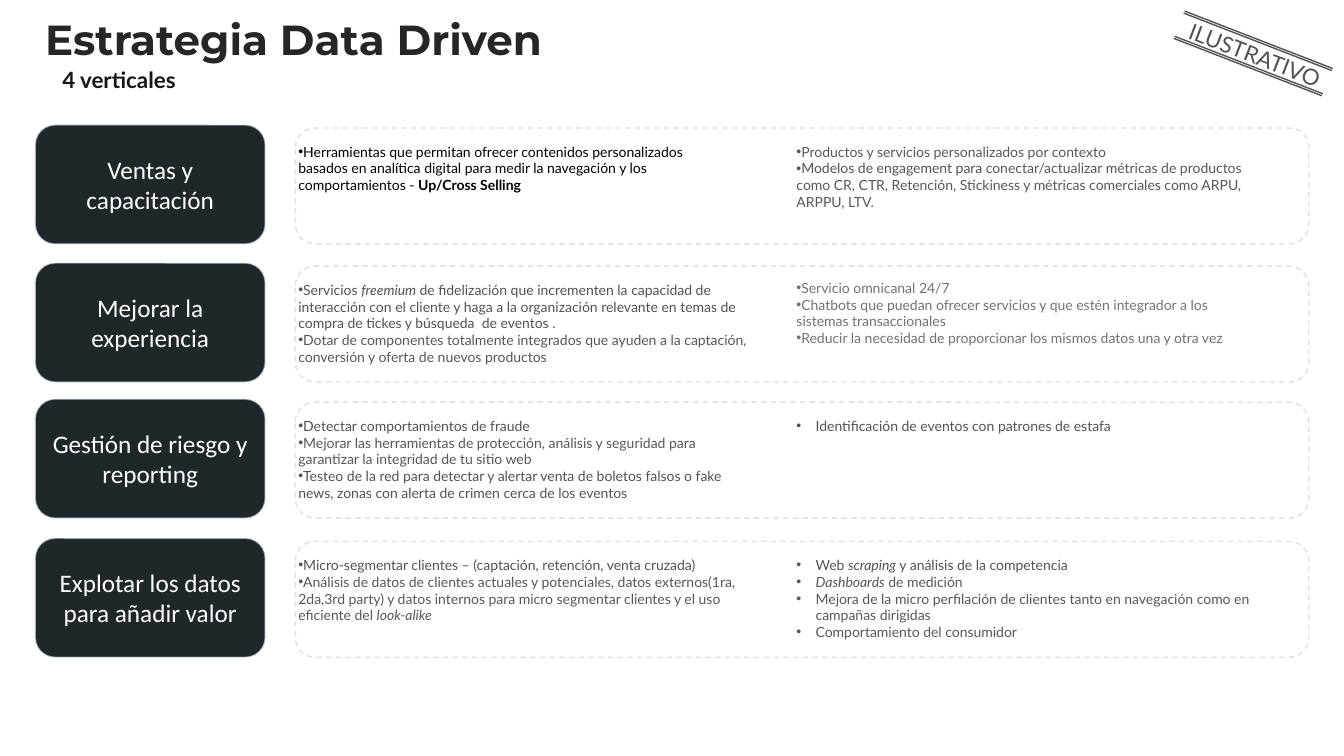
from lxml import etree
from pptx import Presentation
from pptx.dml.color import RGBColor
from pptx.enum.dml import MSO_LINE
from pptx.enum.shapes import MSO_CONNECTOR, MSO_SHAPE
from pptx.enum.text import MSO_ANCHOR, PP_ALIGN
from pptx.oxml.ns import qn
from pptx.util import Inches, Pt

WHITE = RGBColor(0xFF, 0xFF, 0xFF)
BLACK = RGBColor(0x00, 0x00, 0x00)
TITLE_INK = RGBColor(0x26, 0x26, 0x26)
SUBTITLE_INK = RGBColor(0x18, 0x17, 0x17)
PILL = RGBColor(0x20, 0x27, 0x2A)
PILL_EDGE = RGBColor(0xDA, 0xE3, 0xF3)
BAND_EDGE = RGBColor(0xDD, 0xE1, 0xE6)
GRAY = RGBColor(0x53, 0x53, 0x53)
SLATE = RGBColor(0x53, 0x58, 0x5F)
WARM = RGBColor(0x76, 0x71, 0x71)

prs = Presentation()
prs.slide_width, prs.slide_height = Inches(13.33), Inches(7.5)
slide = prs.slides.add_slide(prs.slide_layouts[6])


def add_run(paragraph, text, size, font, color, style=""):
    run = paragraph.add_run()
    run.text = text
    run.font.size, run.font.name = Pt(size), font
    run.font.color.rgb = color
    if style:
        run.font.bold, run.font.italic = style == "b", style == "i"


def add_bullets(left, top, width, height, indent, paragraphs):
    frame = slide.shapes.add_textbox(Inches(left), Inches(top), Inches(width), Inches(height)).text_frame
    frame.word_wrap = True
    frame.margin_left = frame.margin_right = frame.margin_top = frame.margin_bottom = Inches(0.03)
    for i, runs in enumerate(paragraphs):
        paragraph = frame.add_paragraph() if i else frame.paragraphs[0]
        props = paragraph._p.get_or_add_pPr()
        props.set("marL", str(Inches(indent)))
        props.set("indent", str(-Inches(indent)))
        etree.SubElement(props, qn("a:buFont")).set("typeface", "Arial")
        etree.SubElement(props, qn("a:buChar")).set("char", "•")
        for text, color, *style in runs:
            add_run(paragraph, text, 10, "Lato", color, *style)


# Title and subtitle
headings = [
    ("Estrategia Data Driven", 0.35, 0.14, 11.58, 0.68, 30, "Montserrat", TITLE_INK),
    ("4 verticales", 0.52, 0.64, 4.24, 0.57, 16, "Lato", SUBTITLE_INK),
]
for text, left, top, width, height, size, font, color in headings:
    heading = slide.shapes.add_textbox(Inches(left), Inches(top), Inches(width), Inches(height)).text_frame
    heading.word_wrap = True
    heading.paragraphs[0].line_spacing = 0.9
    add_run(heading.paragraphs[0], text, size, font, color, "b")

# Verticals: name, top, left column (width, bullets), right column (offset, indent, bullets)
verticals = [
    ("Ventas y capacitación", 1.24,
     (4.23, [
         [("Herramientas que permitan ofrecer contenidos personalizados basados en analítica digital "
           "para medir la navegación y los comportamientos - ", BLACK), ("Up/Cross Selling", BLACK, "b")],
     ]),
     (0.15, 0, [
         [("Productos y servicios personalizados por contexto", SLATE)],
         [("Modelos de engagement para ", GRAY),
          ("conectar/actualizar métricas de productos como CR, CTR, Retención, Stickiness y métricas "
           "comerciales como ARPU, ARPPU, LTV.", SLATE)],
     ])),
    ("Mejorar la experiencia", 2.61,
     (4.6, [
         [("Servicios ", GRAY), ("freemium", GRAY, "i"),
          (" de fidelización que incrementen la capacidad de interacción con el cliente y haga a la "
           "organización relevante en temas de compra de tickes y búsqueda  de eventos .", GRAY)],
         [("Dotar de componentes totalmente integrados que ayuden a la captación, conversión y oferta "
           "de nuevos productos", SLATE)],
     ]),
     (0.13, 0, [
         [("Servicio omnicanal 24/7", WARM)],
         [("Chatbots que puedan ofrecer servicios y que estén integrador a los sistemas transaccionales", WARM)],
         [("Reducir la necesidad de proporcionar los mismos datos una y otra vez", WARM)],
     ])),
    ("Gestión de riesgo y reporting", 3.96,
     (4.6, [
         [("Detectar comportamientos de fraude", GRAY)],
         [("Mejorar las herramientas de protección, análisis y seguridad para garantizar la integridad "
           "de tu sitio web", SLATE)],
         [("Testeo de la red para detectar y alertar venta de boletos falsos o fake news, zonas con "
           "alerta de crimen cerca de los eventos", GRAY)],
     ]),
     (0.15, 0.19, [
         [("Identificación de eventos con patrones de estafa", GRAY)],
     ])),
    ("Explotar los datos para añadir valor", 5.34,
     (4.6, [
         [("Micro-segmentar clientes – (captación, retención, venta cruzada)", GRAY)],
         [("Análisis de datos de clientes actuales y potenciales, datos externos(1ra, 2da,3rd party) y "
           "datos internos para micro segmentar clientes y el uso eficiente del ", SLATE),
          ("look-alike", SLATE, "i")],
     ]),
     (0.15, 0.19, [
         [("Web ", GRAY), ("scraping", GRAY, "i"), (" y análisis de la competencia", GRAY)],
         [("Dashboards", SLATE, "i"), (" de medición", SLATE)],
         [("Mejora de la micro perfilación de clientes tanto en navegación como en campañas dirigidas", SLATE)],
         [("Comportamiento del consumidor", SLATE)],
     ])),
]
for name, top, (left_width, left_bullets), (right_offset, indent, right_bullets) in verticals:
    # Dashed band
    band = slide.shapes.add_shape(MSO_SHAPE.ROUNDED_RECTANGLE, Inches(2.93), Inches(top + 0.03),
                                  Inches(10.05), Inches(1.15))
    band.fill.solid()
    band.fill.fore_color.rgb = WHITE
    band.line.color.rgb = BAND_EDGE
    band.line.dash_style = MSO_LINE.DASH

    # Dark name pill
    pill = slide.shapes.add_shape(MSO_SHAPE.ROUNDED_RECTANGLE, Inches(0.35), Inches(top),
                                  Inches(2.28), Inches(1.18))
    pill.fill.solid()
    pill.fill.fore_color.rgb = PILL
    pill.line.color.rgb = PILL_EDGE
    edge_color = pill.line._ln.find(qn("a:solidFill"))[0]
    etree.SubElement(edge_color, qn("a:alpha")).set("val", "50000")
    for shape in (band, pill):
        shape.shadow.inherit = False
        shape.line.width = Pt(1)
    pill.text_frame.word_wrap = True
    pill.text_frame.vertical_anchor = MSO_ANCHOR.MIDDLE
    pill.text_frame.paragraphs[0].alignment = PP_ALIGN.CENTER
    add_run(pill.text_frame.paragraphs[0], name, 18, "Calibri", WHITE)

    # Two bullet columns
    add_bullets(2.93, top + 0.15, left_width, 1.03, 0, left_bullets)
    add_bullets(7.87, top + right_offset, 4.6, 1.03, indent, right_bullets)

# Tilted stamp with double rules
stamp = slide.shapes.add_group_shape()
label = stamp.shapes.add_shape(MSO_SHAPE.RECTANGLE, Inches(11.57), Inches(0.44), Inches(1.74), Inches(0.24))
label.rotation = 21
label.shadow.inherit = False
label.fill.solid()
label.fill.fore_color.rgb = WHITE
label.line.fill.background()
label_text = label.text_frame
label_text.word_wrap = True
label_text.margin_left = label_text.margin_right = label_text.margin_top = label_text.margin_bottom = 0
label_text.paragraphs[0].alignment = PP_ALIGN.CENTER
label_text.paragraphs[0].line_spacing = 0.9
add_run(label_text.paragraphs[0], "ILUSTRATIVO", 16, "Lato", GRAY)
for x, y in [(11.74, 0.13), (11.75, 0.11), (11.64, 0.38), (11.65, 0.36)]:
    rule = stamp.shapes.add_connector(MSO_CONNECTOR.STRAIGHT, Inches(x), Inches(y),
                                      Inches(x + 1.47), Inches(y + 0.57))
    rule.line.color.rgb = GRAY
    rule.line.width = Pt(1)
    etree.SubElement(rule._element.spPr, qn("a:effectLst"))

prs.save("out.pptx")
